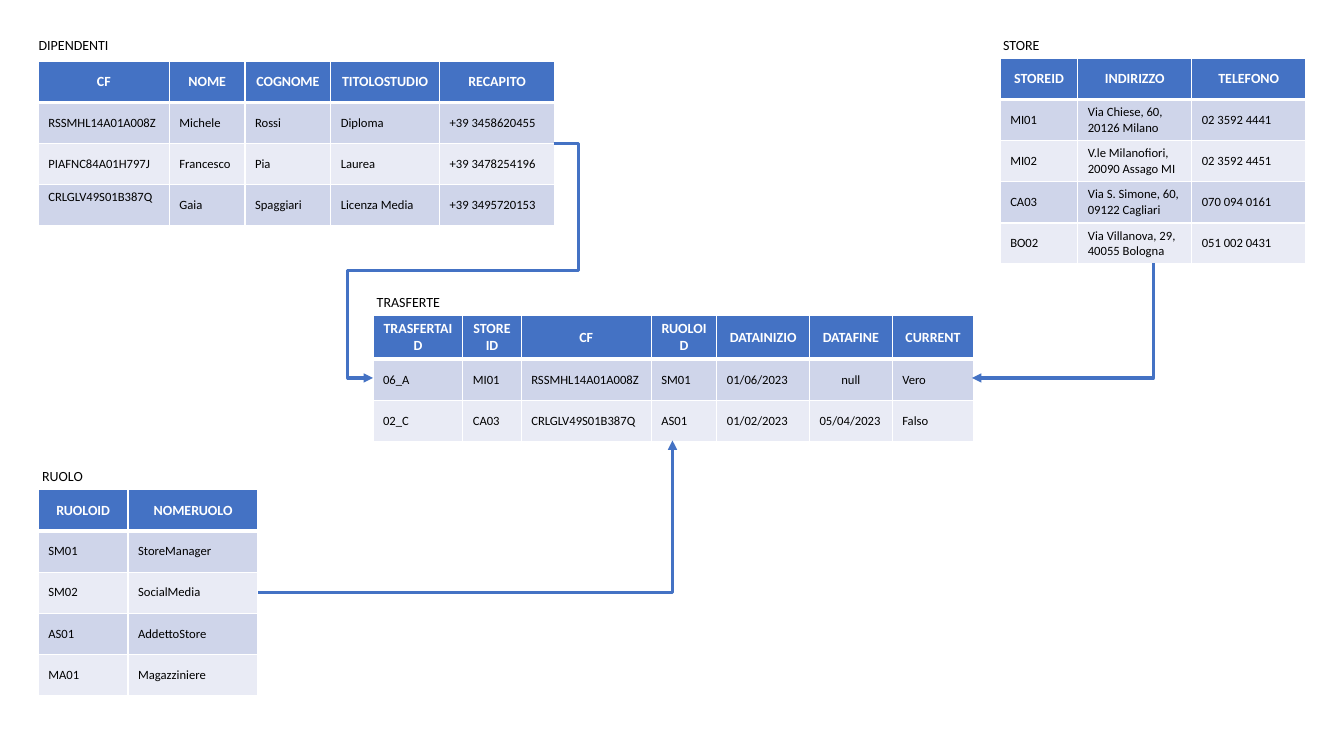
from lxml import etree
from pptx import Presentation
from pptx.dml.color import RGBColor
from pptx.enum.shapes import MSO_CONNECTOR
from pptx.enum.text import MSO_ANCHOR, MSO_AUTO_SIZE, PP_ALIGN
from pptx.oxml.ns import qn
from pptx.util import Inches, Pt

ELBOW = MSO_CONNECTOR.ELBOW
TOP, MIDDLE = MSO_ANCHOR.TOP, MSO_ANCHOR.MIDDLE
LEFT, CENTER = PP_ALIGN.LEFT, PP_ALIGN.CENTER
FIT_SHAPE = MSO_AUTO_SIZE.SHAPE_TO_FIT_TEXT

THEME = {
    "accent": RGBColor.from_string("4472C4"),
    "bands": [RGBColor.from_string("CFD5EA"), RGBColor.from_string("E9EBF5")],
    "border": "FFFFFF",
    "title": {"name": "Calibri", "size": Pt(10), "bold": False, "color": RGBColor(0, 0, 0)},
    "header": {"name": "Calibri", "size": Pt(10), "bold": True, "color": RGBColor(255, 255, 255)},
    "body": {"name": "Calibri", "size": Pt(9), "bold": False, "color": RGBColor(0, 0, 0)},
}
ROW_HEIGHT = 0.408
TITLE_SIZE = (1.24, 0.27)
CENTERED_VALUES = {"null"}
TOP_VALUES = {("DIPENDENTI", "CRLGLV49S01B387Q")}

ENTITIES = [
    {"title": "DIPENDENTI", "title_at": (0.11, 0.31), "at": (0.38, 0.61),
     "columns": [1.3, 0.75, 0.85, 1.08, 1.14],
     "rows": [
         ["CF", "NOME", "COGNOME", "TITOLOSTUDIO", "RECAPITO"],
         ["RSSMHL14A01A008Z", "Michele", "Rossi", "Diploma", "+39 3458620455"],
         ["PIAFNC84A01H797J", "Francesco", "Pia", "Laurea", "+39 3478254196"],
         ["CRLGLV49S01B387Q", "Gaia", "Spaggiari", "Licenza Media", "+39 3495720153"]]},
    {"title": "TRASFERTE", "title_at": (3.43, 2.86), "at": (3.7, 3.13),
     "columns": [0.89, 0.58, 1.29, 0.65, 0.92, 0.82, 0.81],
     "rows": [
         ["TRASFERTAID", "STOREID", "CF", "RUOLOID", "DATAINIZIO", "DATAFINE", "CURRENT"],
         ["06_A", "MI01", "RSSMHL14A01A008Z", "SM01", "01/06/2023", "null", "Vero"],
         ["02_C", "CA03", "CRLGLV49S01B387Q", "AS01", "01/02/2023", "05/04/2023", "Falso"]]},
    {"title": "RUOLO", "title_at": (0, 4.59), "at": (0.38, 4.86),
     "columns": [0.89, 1.29],
     "rows": [
         ["RUOLOID", "NOMERUOLO"],
         ["SM01", "StoreManager"],
         ["SM02", "SocialMedia"],
         ["AS01", "AddettoStore"],
         ["MA01", "Magazziniere"]]},
    {"title": "STORE", "title_at": (9.51, 0.31), "at": (9.92, 0.58),
     "columns": [0.77, 1.13, 1.13],
     "rows": [
         ["STOREID", "INDIRIZZO", "TELEFONO"],
         ["MI01", "Via Chiese, 60, 20126 Milano", "02 3592 4441"],
         ["MI02", "V.le Milanofiori, 20090 Assago MI", "02 3592 4451"],
         ["CA03", "Via S. Simone, 60, 09122 Cagliari", "070 094 0161"],
         ["BO02", "Via Villanova, 29, 40055 Bologna", "051 002 0431"]]},
]

RELATIONS = [
    {"from": (5.49, 1.42), "to": (3.7, 3.75), "preset": "bentConnector5",
     "bends": [-13900, 54100, 113900], "turn": 0},
    {"from": (2.56, 5.88), "to": (6.67, 4.37), "preset": "bentConnector2",
     "bends": [], "turn": 0},
    {"from": (9.97, 2.28), "to": (11.11, 4.08), "preset": "bentConnector2",
     "bends": [], "turn": 90},
]


def write(frame, text, style, alignment):
    paragraph = frame.paragraphs[0]
    paragraph.alignment = alignment
    run = paragraph.add_run()
    run.text = text
    for name, value in style.items():
        if name == "color":
            run.font.color.rgb = value
        else:
            setattr(run.font, name, value)


def add_borders(cell, widths):
    for side, width in widths.items():
        border = etree.SubElement(cell._tc.get_or_add_tcPr(), qn(f"a:ln{side}"), w=str(Pt(width)))
        fill = etree.SubElement(border, qn("a:solidFill"))
        etree.SubElement(fill, qn("a:srgbClr"), val=THEME["border"])


deck = Presentation()
deck.slide_width, deck.slide_height = Inches(13.33), Inches(7.5)
slide = deck.slides.add_slide(deck.slide_layouts[6])

for entity in ENTITIES:
    title = slide.shapes.add_textbox(*map(Inches, entity["title_at"] + TITLE_SIZE)).text_frame
    title.word_wrap = True
    title.auto_size = FIT_SHAPE
    write(title, entity["title"], THEME["title"], CENTER)

    columns, rows = entity["columns"], entity["rows"]
    size = (sum(columns), ROW_HEIGHT * len(rows))
    table = slide.shapes.add_table(len(rows), len(columns), *map(Inches, entity["at"] + size)).table
    for column, width in zip(table.columns, columns):
        column.width = Inches(width)
    for r, values in enumerate(rows):
        table.rows[r].height = Inches(ROW_HEIGHT)
        header = r == 0
        for c, value in enumerate(values):
            cell = table.cell(r, c)
            add_borders(cell, {"L": 1, "R": 1, "T": 3 if r == 1 else 1, "B": 3 if header else 1})
            cell.fill.solid()
            cell.fill.fore_color.rgb = THEME["accent"] if header else THEME["bands"][(r - 1) % 2]
            cell.vertical_anchor = TOP if (entity["title"], value) in TOP_VALUES else MIDDLE
            write(cell.text_frame, value, THEME["header" if header else "body"],
                  CENTER if header or value in CENTERED_VALUES else LEFT)

for relation in RELATIONS:
    arrow = slide.shapes.add_connector(ELBOW, *map(Inches, relation["from"] + relation["to"]))
    arrow.line.color.rgb = THEME["accent"]
    arrow.line.width = Pt(2.25)
    properties = arrow._element.spPr
    if relation["turn"]:
        properties.find(qn("a:xfrm")).set("rot", str(relation["turn"] * 60000))
    geometry = properties.find(qn("a:prstGeom"))
    geometry.set("prst", relation["preset"])
    for number, bend in enumerate(relation["bends"], 1):
        etree.SubElement(geometry.find(qn("a:avLst")), qn("a:gd"),
                         name=f"adj{number}", fmla=f"val {bend}")
    etree.SubElement(properties.find(qn("a:ln")), qn("a:tailEnd"), type="triangle")
    etree.SubElement(properties, qn("a:effectLst"))

deck.save("out.pptx")
